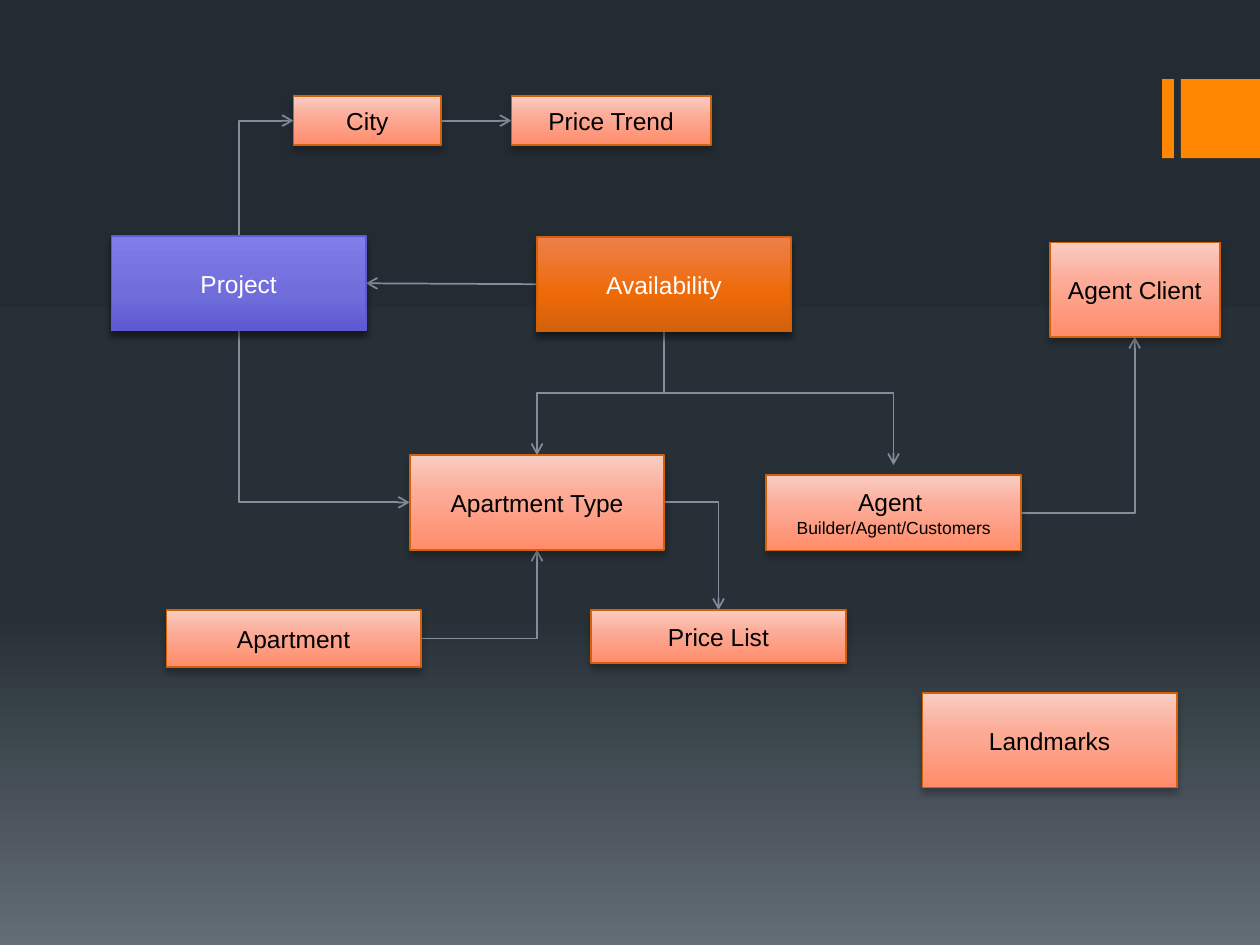
from lxml.etree import SubElement
from pptx import Presentation
from pptx.dml.color import RGBColor
from pptx.enum.shapes import MSO_CONNECTOR as Link, MSO_SHAPE as Preset
from pptx.enum.text import MSO_ANCHOR as Anchor, PP_ALIGN as Align
from pptx.oxml.ns import qn
from pptx.util import Pt

THEME = {
    "font": "Arial", "size": 14, "small": 10,
    "accent": "FF8600", "link": "838D9B", "line_width": 1,
    "background": [(0, "242C33"), (65, "273037"), (100, "636D76")],
    "entity": {
        "stops": [(0, "F9CDC2"), (41, "FCAB97"), (100, "FF8C6A")],
        "line": "D2610C", "text": "000000", "shadow": (28, 4)},
    "project": {
        "stops": [(0, "817EEA"), (60, "716EDC"), (100, "5D5AD2")],
        "line": "5D5AD2", "text": "FFFFFF", "shadow": (48, 3.8)},
    "availability": {
        "stops": [(0, "EE7F4C"), (60, "EE6A07"), (100, "D2610C")],
        "line": "D2610C", "text": "FFFFFF", "shadow": (48, 3.8)},
}

WIDE, TALL = 145.4, 54
ACCENT_BARS = [(664.1, 45.2, 6.7, 45.2), (674.8, 45.2, 45.2, 45.2)]

# name: (left, top, width, height, style, lines of text)
BOXES = {
    "project": (63.7, 134.9, WIDE, TALL, "project", ["Project"]),
    "apartment": (95.1, 348.6, WIDE, 32.5, "entity", ["Apartment"]),
    "type": (234.2, 260.1, WIDE, TALL, "entity", ["Apartment Type"]),
    "price list": (337.9, 348.6, WIDE, 30.3, "entity", ["Price List"]),
    "landmarks": (527.1, 396, WIDE, TALL, "entity", ["Landmarks"]),
    "price trend": (292.3, 54.9, 113.9, 28.1, "entity", ["Price Trend"]),
    "city": (167.8, 54.9, 84.2, 28.1, "entity", ["City"]),
    "client": (599.8, 138.5, 97.3, TALL, "entity", ["Agent Client"]),
    "agent": (437.9, 271.4, WIDE, 43.2, "entity",
              ["Agent ", "Builder/Agent/Customers"]),
    "availability": (306.7, 135.4, WIDE, TALL, "availability", ["Availability"]),
}

# from box, side, to box, side, upward shift of both ends
LINKS = [
    ("project", "bottom", "type", "left", 0),
    ("apartment", "right", "type", "bottom", 0),
    ("project", "top", "city", "left", 0),
    ("city", "right", "price trend", "left", 0),
    ("type", "right", "price list", "top", 0),
    ("availability", "bottom", "agent", "top", 5.7),
    ("agent", "right", "client", "bottom", 0),
    ("availability", "left", "project", "right", 0),
    ("availability", "bottom", "type", "top", 0),
]
SIDES = {"left": (0, 0.5), "right": (1, 0.5), "top": (0.5, 0), "bottom": (0.5, 1)}
VERTICAL = ("top", "bottom")


def set_gradient(fill, element, stops):
    """Fill from top to bottom with any number of colour stops."""
    fill.gradient()
    fill.gradient_angle = 270
    stop_list = element.find(".//" + qn("a:gsLst"))
    for stop in list(stop_list):
        stop_list.remove(stop)
    for position, color in stops:
        stop = SubElement(stop_list, qn("a:gs"), pos=str(position * 1000))
        SubElement(stop, qn("a:srgbClr"), val=color)


def set_shadow(shape, opacity, blur):
    shape.shadow.inherit = False
    effects = shape._element.spPr.find(qn("a:effectLst"))
    shadow = SubElement(effects, qn("a:outerShdw"), blurRad=str(Pt(blur)),
                        dist=str(Pt(3)), dir="5400000", rotWithShape="0")
    color = SubElement(shadow, qn("a:srgbClr"), val="000000")
    SubElement(color, qn("a:alpha"), val=str(opacity * 1000))


def write(paragraph, text, *, size, color):
    paragraph.alignment = Align.CENTER
    run = paragraph.add_run()
    run.text = text
    run.font.name = THEME["font"]
    run.font.size = Pt(size)
    run.font.color.rgb = RGBColor.from_string(color)


def add_bar(slide, place):
    bar = slide.shapes.add_shape(Preset.RECTANGLE, *map(Pt, place))
    bar.shadow.inherit = False
    bar.fill.solid()
    bar.fill.fore_color.rgb = RGBColor.from_string(THEME["accent"])
    bar.line.fill.background()


def add_box(slide, left, top, width, height, style_name, lines):
    style = THEME[style_name]
    box = slide.shapes.add_shape(Preset.RECTANGLE, Pt(left), Pt(top), Pt(width), Pt(height))
    set_gradient(box.fill, box._element, style["stops"])
    box.line.color.rgb = RGBColor.from_string(style["line"])
    box.line.width = Pt(THEME["line_width"])
    set_shadow(box, *style["shadow"])
    frame = box.text_frame
    frame.word_wrap = True
    frame.vertical_anchor = Anchor.MIDDLE
    for index, text in enumerate(lines):
        paragraph = frame.add_paragraph() if index else frame.paragraphs[0]
        write(paragraph, text, size=THEME["small" if index else "size"], color=style["text"])


def side_point(name, side, lift):
    left, top, width, height = BOXES[name][:4]
    across, down = SIDES[side]
    return left + across * width, top + down * height - lift


def add_link(slide, source, source_side, target, target_side, lift):
    x1, y1 = side_point(source, source_side, lift)
    x2, y2 = side_point(target, target_side, lift)
    starts_vertical = source_side in VERTICAL
    turns_once = starts_vertical != (target_side in VERTICAL)
    if starts_vertical:
        # Preset elbows start sideways: lay the path flat, then turn it 270 degrees.
        middle_x, middle_y = (x1 + x2) / 2, (y1 + y2) / 2
        half_x, half_y = (y1 - y2) / 2, (x2 - x1) / 2
        x1, x2 = middle_x - half_x, middle_x + half_x
        y1, y2 = middle_y - half_y, middle_y + half_y
    kind = Link.ELBOW if starts_vertical or turns_once else Link.STRAIGHT
    link = slide.shapes.add_connector(kind, Pt(x1), Pt(y1), Pt(x2), Pt(y2))
    properties = link._element.spPr
    if starts_vertical:
        properties.find(qn("a:xfrm")).set("rot", str(270 * 60000))
    if turns_once:
        properties.find(qn("a:prstGeom")).set("prst", "bentConnector2")
    link.line.color.rgb = RGBColor.from_string(THEME["link"])
    link.line.width = Pt(THEME["line_width"])
    SubElement(properties.find(qn("a:ln")), qn("a:tailEnd"), type="arrow")
    SubElement(properties, qn("a:effectLst"))


def main():
    presentation = Presentation()
    presentation.slide_width, presentation.slide_height = Pt(720), Pt(540)
    slide = presentation.slides.add_slide(presentation.slide_layouts[6])
    set_gradient(slide.background.fill, slide._element, THEME["background"])
    for place in ACCENT_BARS:
        add_bar(slide, place)
    for link in LINKS:
        add_link(slide, *link)
    for box in BOXES.values():
        add_box(slide, *box)
    presentation.save("out.pptx")


if __name__ == "__main__":
    main()
